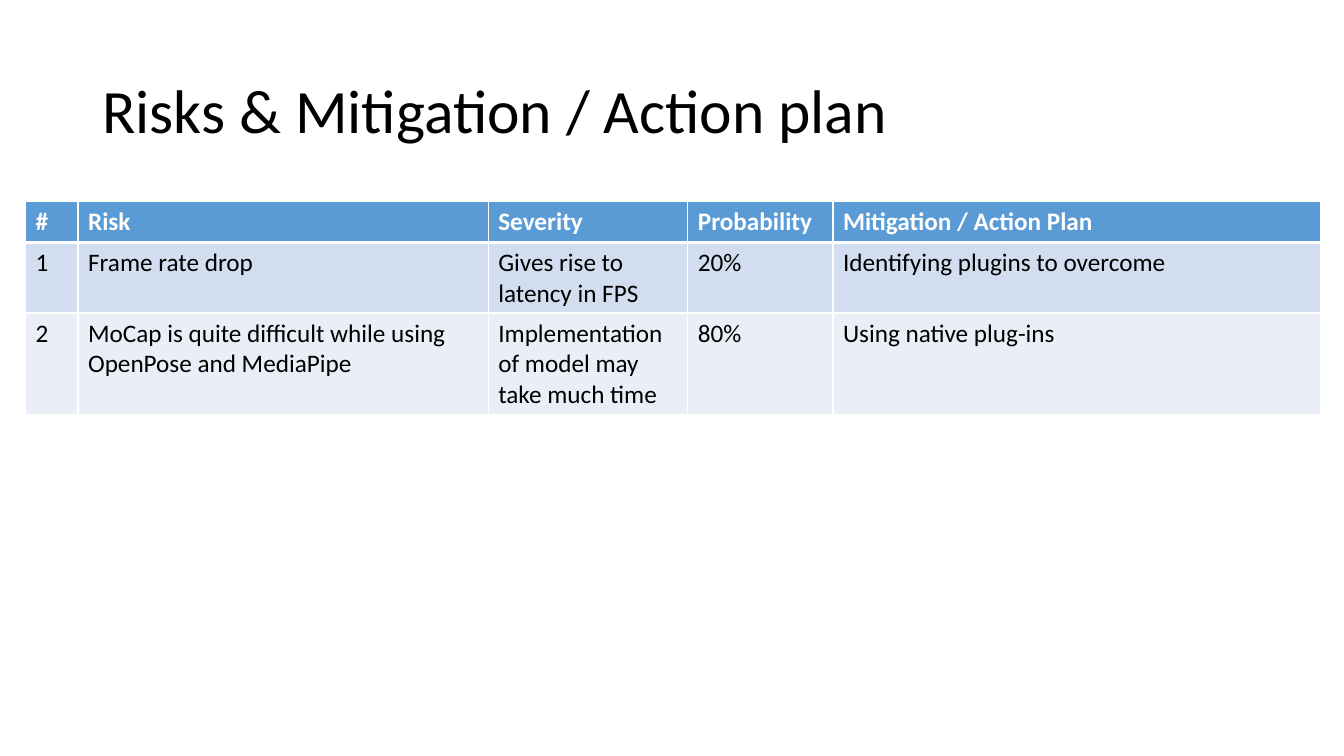
from lxml import etree
from pptx import Presentation
from pptx.dml.color import RGBColor
from pptx.enum import text
from pptx.oxml import ns
from pptx.util import Pt

FONT = "Calibri"
COLUMN_WIDTHS = [37.44, 293.04, 142.56, 103.68, 348.48]
ROW_HEIGHTS = [29.2, 50.4, 72.3]
ROW_FILLS = ["5B9BD5", "D2DEEF", "EAEFF7"]
RISKS = [
    ["#", "Risk", "Severity", "Probability", "Mitigation / Action Plan"],
    ["1", "Frame rate drop", "Gives rise to latency in FPS", "20%",
     "Identifying plugins to overcome"],
    ["2", "MoCap is quite difficult while using OpenPose and MediaPipe",
     "Implementation of model may take much time", "80%",
     "Using native plug-ins"],
]


def color(value):
    return RGBColor.from_string(value)


def style_paragraph(paragraph, size, hex_color, bold=False):
    font = paragraph.font
    font.name, font.size, font.bold = FONT, Pt(size), bold
    font.color.rgb = color(hex_color)


def set_borders(cell, widths, hex_color):
    """Draw the cell's borders; widths maps L, R, T, B to points."""
    properties = cell._tc.get_or_add_tcPr()
    for index, (side, width) in enumerate(widths.items()):
        line = etree.Element(ns.qn(f"a:ln{side}"), w=str(Pt(width)))
        fill = etree.SubElement(line, ns.qn("a:solidFill"))
        etree.SubElement(fill, ns.qn("a:srgbClr"), val=hex_color)
        properties.insert(index, line)


def add_title(slide, left, top, width, height):
    box = slide.shapes.add_textbox(Pt(left), Pt(top), Pt(width), Pt(height))
    frame = box.text_frame
    frame.word_wrap = True
    frame.vertical_anchor = text.MSO_ANCHOR.MIDDLE
    paragraph = frame.paragraphs[0]
    paragraph.text = "Risks & Mitigation / Action plan"
    paragraph.line_spacing = 0.9
    style_paragraph(paragraph, 44, "000000")


def add_risk_table(slide, left, top, width, height):
    table = slide.shapes.add_table(
        len(RISKS), len(COLUMN_WIDTHS),
        Pt(left), Pt(top), Pt(width), Pt(height)).table
    for column, column_width in zip(table.columns, COLUMN_WIDTHS):
        column.width = Pt(column_width)
    for row, row_height in zip(table.rows, ROW_HEIGHTS):
        row.height = Pt(row_height)

    for row_index, labels in enumerate(RISKS):
        is_header = row_index == 0
        # A thicker rule parts the header from the body
        borders = {"L": 1, "R": 1,
                   "T": 3 if row_index == 1 else 1,
                   "B": 3 if is_header else 1}
        for column_index, label in enumerate(labels):
            cell = table.cell(row_index, column_index)
            cell.text = label
            cell.fill.solid()
            cell.fill.fore_color.rgb = color(ROW_FILLS[row_index])
            set_borders(cell, borders, "FFFFFF")
            style_paragraph(cell.text_frame.paragraphs[0], 18,
                            "FFFFFF" if is_header else "000000", is_header)


def main():
    presentation = Presentation()
    presentation.slide_width, presentation.slide_height = Pt(960), Pt(540)
    slide = presentation.slides.add_slide(presentation.slide_layouts[6])

    # Heading
    add_title(slide, 66, 28.8, 828, 104.4)
    # Risk table
    add_risk_table(slide, 18.3, 144, sum(COLUMN_WIDTHS), sum(ROW_HEIGHTS))

    presentation.save("out.pptx")


if __name__ == "__main__":
    main()
